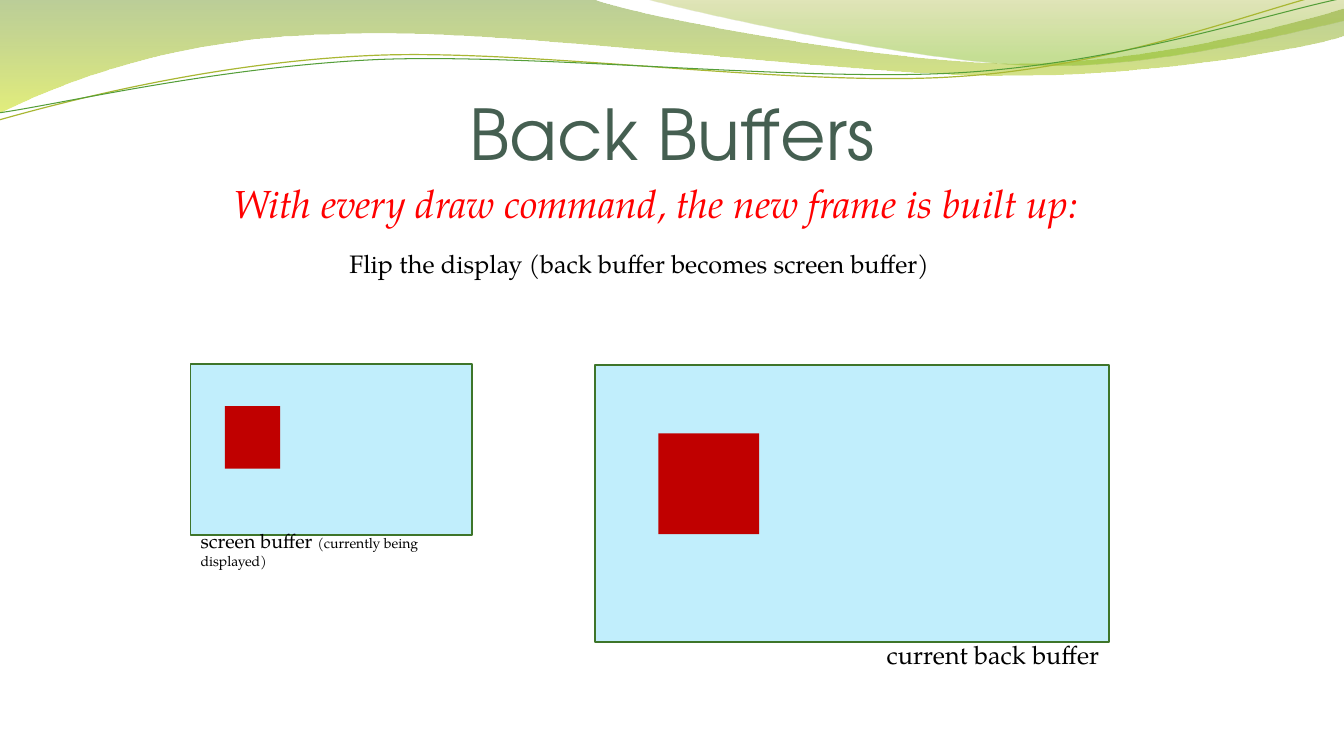
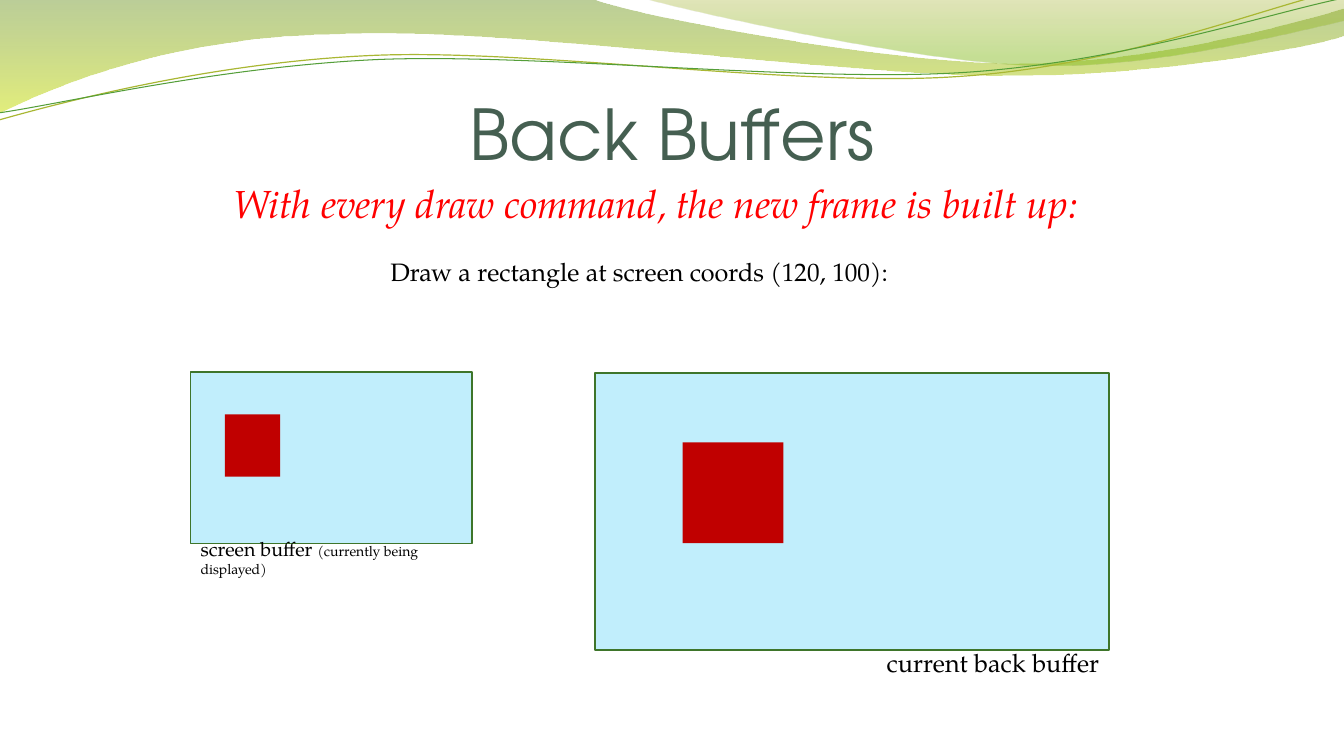
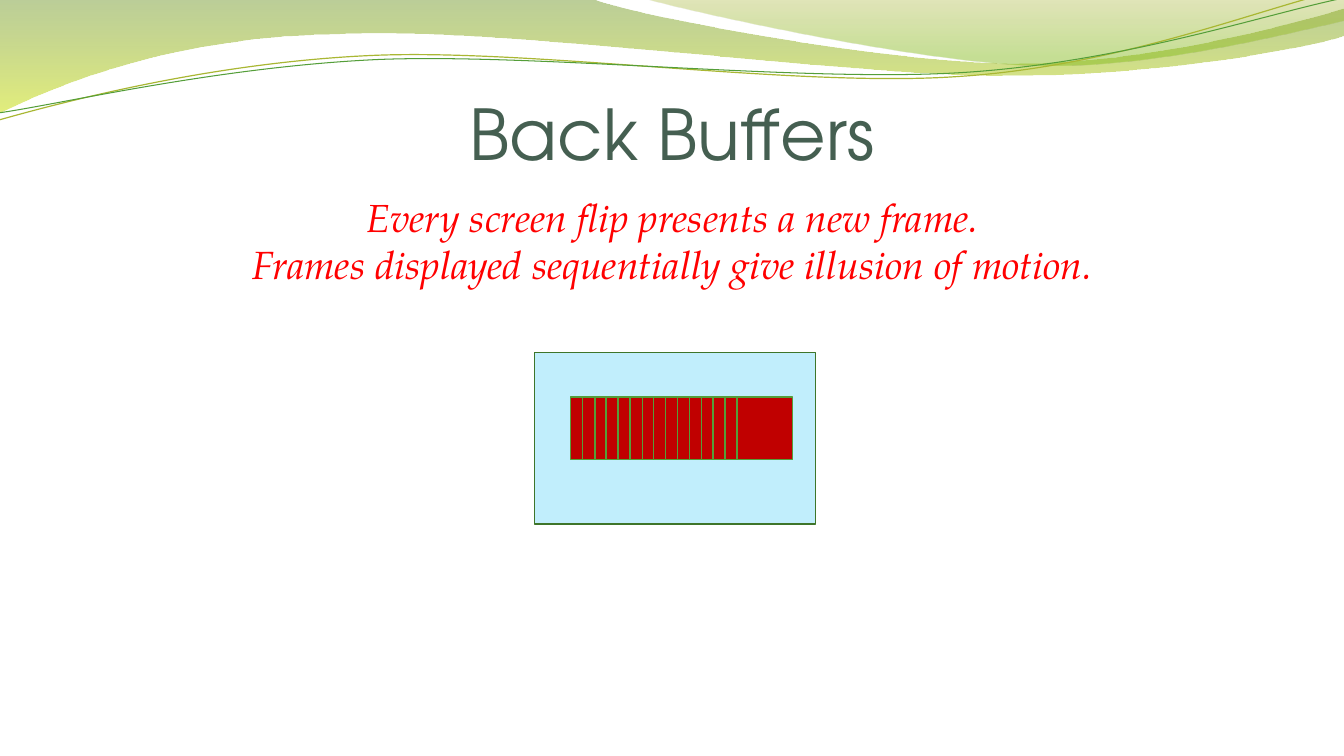
"""Build three slides that explain back buffers and screen flips."""
import dataclasses
import typing

import lxml.etree
import pptx
import pptx.dml.color
import pptx.enum.shapes
import pptx.enum.text
import pptx.oxml.ns
import pptx.util

EMU_PER_PX = 9144
SLIDE_WIDTH, SLIDE_HEIGHT = 1333, 750
TITLE_FONT, BODY_FONT = "TeX Gyre Adventor", "TeX Gyre Pagella"
TITLE_COLOR, HEADLINE_COLOR, TEXT_COLOR = "455F51", "FF0000", "000000"
SCREEN_FILL, SCREEN_LINE = "C1EEFC", "3E752A"
SQUARE_FILL, SQUARE_LINE = "C00000", "549E39"
ALIGN = pptx.enum.text.PP_ALIGN
qn = pptx.oxml.ns.qn
Point = tuple[int, int]


class Box(typing.NamedTuple):
    """Place and size in px."""
    left: int
    top: int
    width: int
    height: int


class Span(typing.NamedTuple):
    """Piece of text in one style."""
    text: str
    size: int
    color: str = TEXT_COLOR
    italic: bool = False
    font: str = BODY_FONT


class Stop(typing.NamedTuple):
    """Gradient stop with its position and opacity in percent."""
    position: int
    color: str
    opacity: int


@dataclasses.dataclass(frozen=True)
class Wave:
    """Header outline; a segment is one line end or three curve points."""
    start: Point
    segments: list[list[Point]]
    stops: tuple[Stop, ...] = ()
    line: str = ""
    weight: float = 0


@dataclasses.dataclass(frozen=True)
class BufferStep:
    """One moment of the drawing loop."""
    action: str
    top: int
    back_square: Point


WAVES = [
    Wave((0, 0), [
        [(587, -1)],
        [(634, 17), (884, 63), (1011, 63)],
        [(1137, 63), (1277, 26), (1333, 9)],
        [(1334, 36)],
        [(1311, 44), (1159, 76), (994, 75)],
        [(829, 75), (509, 28), (343, 34)],
        [(172, 36), (61, 83), (-2, 113)],
    ], stops=(Stop(0, "69921C", 45), Stop(100, "CCE10F", 55))),
    Wave((638, -1), [
        [(679, 11), (909, 62), (1025, 65)],
        [(1140, 69), (1282, 32), (1333, 21)],
        [(1333, 0)],
    ], stops=(Stop(0, "9BAA1A", 30), Stop(80, "81BA16", 45))),
    Wave((-1, 119), [
        [(63, 101), (210, 62), (369, 55)],
        [(527, 48), (789, 87), (949, 76)],
        [(1110, 66), (1251, 8), (1330, -10)],
    ], line="A9B733", weight=0.85),
    Wave((-1, 112), [
        [(62, 103), (218, 66), (377, 59)],
        [(537, 53), (796, 82), (955, 72)],
        [(1114, 62), (1255, 14), (1333, -2)],
    ], line="549E39", weight=0.75),
]

STEPS = [
    BufferStep("Flip the display (back buffer becomes screen buffer)", 361, (63, 68)),
    BufferStep("Draw a rectangle at screen coords (120, 100):", 369, (87, 69)),
]


def px(length: int) -> int:
    """Turn px into EMU."""
    return length * EMU_PER_PX


def rgb(code: str) -> pptx.dml.color.RGBColor:
    """Turn a hex string into a colour."""
    return pptx.dml.color.RGBColor.from_string(code)


def set_line(shape, color: str, weight: float) -> None:
    """Give a shape a line, or none without a colour."""
    if color:
        shape.line.color.rgb = rgb(color)
        shape.line.width = pptx.util.Pt(weight)
    else:
        shape.line.fill.background()


def set_gradient(shape, stops: tuple[Stop, ...]) -> None:
    """Fill a shape from top to bottom with translucent stops."""
    shape.fill.gradient()
    shape.fill.gradient_angle = 270
    for target, stop in zip(shape.fill.gradient_stops, stops):
        target.color.rgb = rgb(stop.color)
        target.position = stop.position / 100
    for code, stop in zip(shape.element.iter(qn("a:srgbClr")), stops):
        lxml.etree.SubElement(code, qn("a:alpha"), val=str(stop.opacity * 1000))


def add_wave(slide, wave: Wave):
    """Draw a wave, turning each group of three points into a curve."""
    points = [(px(x), px(y)) for segment in wave.segments for x, y in segment]
    builder = slide.shapes.build_freeform(px(wave.start[0]), px(wave.start[1]))
    builder.add_line_segments(points, close=bool(wave.stops))
    shape = builder.convert_to_shape()
    shape.shadow.inherit = False
    corners = iter(list(shape.element.iter(qn("a:lnTo"))))
    for segment in wave.segments:
        group = [next(corners) for _ in segment]
        if len(group) == 3:
            group[0].addprevious(curve := lxml.etree.Element(qn("a:cubicBezTo")))
            for corner in group:
                curve.append(corner[0])
                corner.getparent().remove(corner)
    if wave.stops:
        set_gradient(shape, wave.stops)
    else:
        shape.fill.background()
    set_line(shape, wave.line, wave.weight)
    return shape


def add_header(slide) -> None:
    """Put the waves behind everything on the layout of a slide."""
    for position, wave in enumerate(WAVES, start=2):
        shape = add_wave(slide, wave)
        slide.slide_layout.shapes.element.insert(position, shape.element)


def write(paragraph, spans: list[Span], align: ALIGN) -> None:
    """Add spans to a paragraph."""
    paragraph.alignment = align
    for span in spans:
        run = paragraph.add_run()
        run.text = span.text
        run.font.name = span.font
        run.font.size = pptx.util.Pt(span.size)
        run.font.italic = span.italic
        run.font.color.rgb = rgb(span.color)


def add_text(slide, box: Box, lines: list[list[Span]], align: ALIGN) -> None:
    """Add a wrapping text box with one paragraph per line."""
    frame = slide.shapes.add_textbox(*map(px, box)).text_frame
    frame.word_wrap = True
    frame.auto_size = pptx.enum.text.MSO_AUTO_SIZE.SHAPE_TO_FIT_TEXT
    for index, spans in enumerate(lines):
        paragraph = frame.add_paragraph() if index else frame.paragraphs[0]
        write(paragraph, spans, align)


def add_rectangle(slide, box: Box, fill: str, line: str = "") -> None:
    """Add a plain rectangle."""
    shape = slide.shapes.add_shape(
        pptx.enum.shapes.MSO_SHAPE.RECTANGLE, *map(px, box))
    shape.shadow.inherit = False
    shape.fill.solid()
    shape.fill.fore_color.rgb = rgb(fill)
    set_line(shape, line, 1)


def add_titled_slide(deck):
    """Add a slide with the shared title."""
    slide = deck.slides.add_slide(deck.slide_layouts[5])
    title = slide.shapes.title
    title.left, title.top, title.width, title.height = map(px, Box(67, 77, 1200, 96))
    frame = title.text_frame
    frame.word_wrap = True
    frame.auto_size = pptx.enum.text.MSO_AUTO_SIZE.NONE
    frame.vertical_anchor = pptx.enum.text.MSO_ANCHOR.BOTTOM
    frame.margin_left = frame.margin_right = frame.margin_bottom = 0
    frame.margin_top = px(5)
    heading = Span("Back Buffers", 50, TITLE_COLOR, font=TITLE_FONT)
    write(frame.paragraphs[0], [heading], ALIGN.CENTER)
    return slide


def headline(text: str) -> list[Span]:
    """Style a red headline."""
    return [Span(text, 28, HEADLINE_COLOR, italic=True)]


def add_buffer_slide(deck, step: BufferStep) -> None:
    """Show the screen buffer beside the back buffer."""
    slide = add_titled_slide(deck)
    screen = Box(189, step.top, 279, 170)
    back = Box(590, step.top + 1, 510, 275)
    offset_x, offset_y = step.back_square
    add_text(slide, Box(189, 173, 890, 57),
             [headline("With every draw command, the new frame is built up:")],
             ALIGN.RIGHT)
    add_text(slide, Box(189, step.top - 120, 890, 40),
             [[Span(step.action, 18)]], ALIGN.CENTER)
    add_rectangle(slide, back, SCREEN_FILL, SCREEN_LINE)
    add_rectangle(slide, Box(back.left + offset_x, back.top + offset_y, 100, 100),
                  SQUARE_FILL)
    add_rectangle(slide, screen, SCREEN_FILL, SCREEN_LINE)
    add_rectangle(slide, Box(screen.left + 34, screen.top + 42, 55, 62), SQUARE_FILL)
    add_text(slide, Box(821, step.top + 268, 279, 40),
             [[Span("current back buffer", 18)]], ALIGN.RIGHT)
    add_text(slide, Box(189, step.top + 159, 279, 34),
             [[Span("screen buffer ", 14), Span("(currently being displayed)", 10)]],
             ALIGN.LEFT)


def add_motion_slide(deck) -> None:
    """Show the square in every frame of its motion."""
    slide = add_titled_slide(deck)
    add_text(slide, Box(67, 187, 1200, 104), [
        headline("Every screen flip presents a new frame."),
        headline("Frames displayed sequentially give illusion of motion."),
    ], ALIGN.CENTER)
    add_rectangle(slide, Box(530, 350, 279, 170), SCREEN_FILL, SCREEN_LINE)
    frames, first, last = 15, 566, 731
    for frame in range(frames):
        left = first + round(frame * (last - first) / (frames - 1))
        add_rectangle(slide, Box(left, 394, 55, 62), SQUARE_FILL, SQUARE_LINE)


def main() -> None:
    """Build and save the deck."""
    deck = pptx.Presentation()
    deck.slide_width, deck.slide_height = px(SLIDE_WIDTH), px(SLIDE_HEIGHT)
    for step in STEPS:
        add_buffer_slide(deck, step)
    add_motion_slide(deck)
    add_header(deck.slides[0])
    deck.save("out.pptx")


if __name__ == "__main__":
    main()
